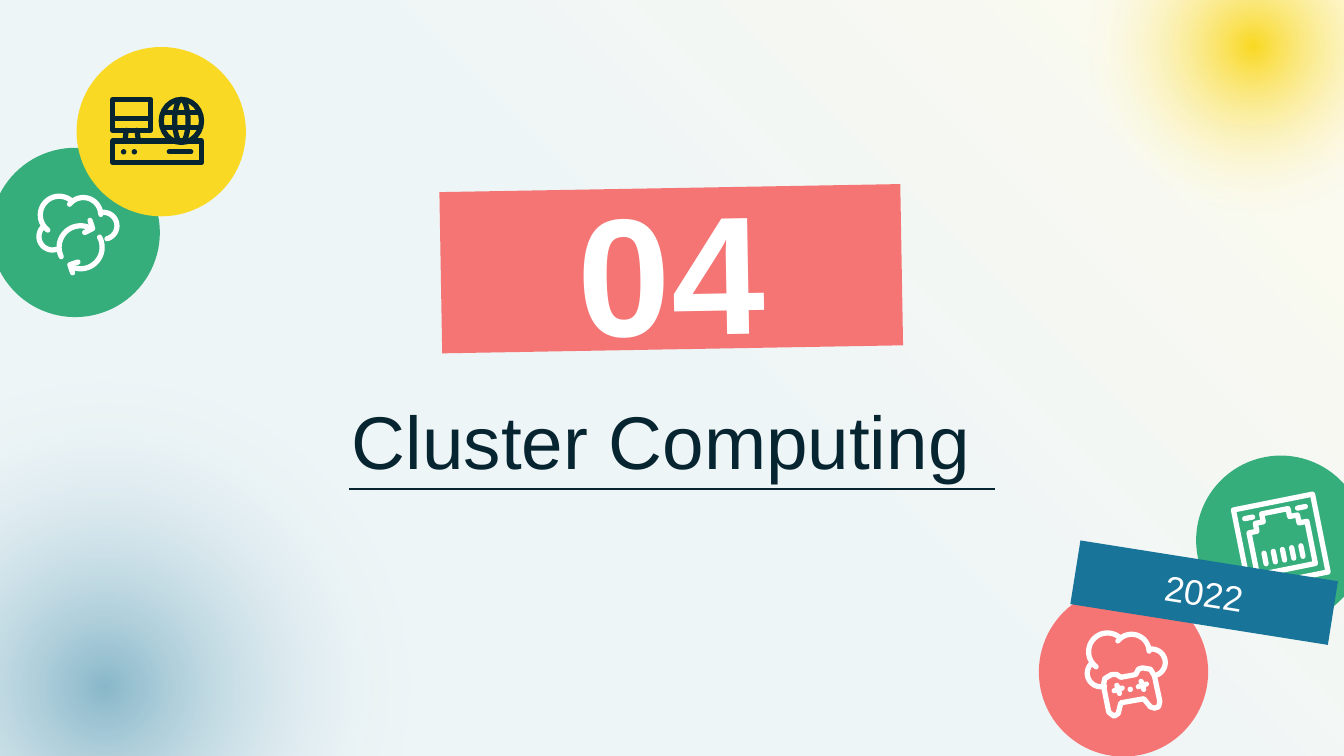
import math
from dataclasses import dataclass

import pptx
import pptx.dml.color
import pptx.enum.shapes
import pptx.enum.text
import pptx.oxml
import pptx.oxml.ns
import pptx.util
from pptx.util import Inches

HUES = {"ink": "062531", "white": "FFFFFF", "coral": "F57474",
        "green": "36AE7C", "yellow": "F9D923", "blue": "187498"}
KINDS = pptx.enum.shapes.MSO_SHAPE
ANCHOR = pptx.enum.text.MSO_ANCHOR
Point = tuple[float, float]
Stroke = list[Point]


@dataclass
class Box:
    """Place and turn of a shape."""
    left: float
    top: float
    width: float
    height: float
    turn: float = 0


@dataclass
class Label:
    """Words centred in a box."""
    text: str
    box: Box
    size: float
    hue: str
    fill: str = ""
    bold: bool = False


@dataclass
class Badge:
    """Disc with a line icon and round dots."""
    left: float
    top: float
    fill: str
    hue: str
    icon: list[Stroke]
    dots: list[Point]
    turn: float = 0


def shade(hue: str) -> pptx.dml.color.RGBColor:
    """Give the colour of a name."""
    return pptx.dml.color.RGBColor.from_string(HUES[hue])


def shape(page, kind, box: Box, fill: str = ""):
    """Add a flat preset shape without a line."""
    item = page.shapes.add_shape(kind, Inches(box.left), Inches(box.top),
                                 Inches(box.width), Inches(box.height))
    item.rotation = box.turn
    item.shadow.inherit = False
    item.line.fill.background()
    if fill:
        item.fill.solid()
        item.fill.fore_color.rgb = shade(fill)
    else:
        item.fill.background()
    return item


def blend(item, stops: list[tuple[int, str, int]], way: str) -> None:
    """Fill a shape with a see-through gradient."""
    rows = "".join(
        f'<a:gs pos="{pos}000"><a:srgbClr val="{HUES[hue]}">'
        f'<a:alpha val="{alpha}000"/></a:srgbClr></a:gs>' for pos, hue, alpha in stops)
    space = pptx.oxml.ns.nsdecls("a")
    grad = pptx.oxml.parse_xml(
        f'<a:gradFill {space} rotWithShape="1"><a:gsLst>{rows}</a:gsLst>{way}</a:gradFill>')
    old = item._element.spPr.find(pptx.oxml.ns.qn("a:noFill"))
    item._element.spPr.replace(old, grad)


def glow(page, box: Box, hue: str, alpha: int) -> None:
    """Add a disc that fades out from its centre."""
    way = ('<a:path path="circle"><a:fillToRect l="50000" t="50000" '
           'r="50000" b="50000"/></a:path>')
    blend(shape(page, KINDS.OVAL, box),
          [(0, hue, alpha), (50, "white", 0), (100, "white", 0)], way)


def write(page, label: Label) -> None:
    """Add a centred line of text, on a filled box or from the top of a plain one."""
    box = label.box
    if label.fill:
        item = shape(page, KINDS.RECTANGLE, box, label.fill)
    else:
        item = page.shapes.add_textbox(Inches(box.left), Inches(box.top),
                                       Inches(box.width), Inches(box.height))
    body = item.text_frame
    body.margin_left = body.margin_right = body.margin_top = body.margin_bottom = 0
    body.word_wrap = True
    body.vertical_anchor = ANCHOR.MIDDLE if label.fill else ANCHOR.TOP
    line = body.paragraphs[0]
    line.alignment = pptx.enum.text.PP_ALIGN.CENTER
    run = line.add_run()
    run.text = label.text
    run.font.name = "Arial"
    run.font.size = pptx.util.Pt(label.size)
    run.font.bold = label.bold
    run.font.color.rgb = shade(label.hue)


def arc(x: float, y: float, wide: float, high: float, start: int, end: int) -> Stroke:
    """Give points along an arc, in degrees clockwise from the right."""
    steps = 24
    turns = [math.radians(start + (end - start) * i / steps) for i in range(steps + 1)]
    return [(x + wide * math.cos(t), y + high * math.sin(t)) for t in turns]


def frame(left: float, top: float, right: float, low: float) -> Stroke:
    """Give the closed outline of a rectangle."""
    return [(left, top), (right, top), (right, low), (left, low), (left, top)]


def cloud(x: float, y: float) -> list[Stroke]:
    """Give the four lobes of a cloud, moved by x and y."""
    lobes = [(0.44, 1.6, 0.14, 127, 311), (0.62, 1.6, 0.13, 218, 358),
             (0.77, 1.68, 0.1, 258, 435), (0.39, 1.76, 0.1, 229, 73)]
    return [arc(a + x, b + y, r, r, start, end) for a, b, r, start, end in lobes]


def cross(x: float, y: float) -> list[Stroke]:
    """Give a small tilted plus sign."""
    return [[(x - 0.03, y + 0.01), (x + 0.03, y - 0.01)],
            [(x - 0.01, y - 0.03), (x + 0.01, y + 0.03)]]


def draw(page, badge: Badge) -> None:
    """Add a disc, its icon in round strokes, and its dots."""
    shape(page, KINDS.OVAL, Box(badge.left, badge.top, 1.26, 1.26), badge.fill)
    paths = [[(Inches(x), Inches(y)) for x, y in path] for path in badge.icon]
    pen = page.shapes.build_freeform(*paths[0][0], scale=1.0)
    pen.add_line_segments(paths[0][1:], close=False)
    for path in paths[1:]:
        pen.move_to(*path[0])
        pen.add_line_segments(path[1:], close=False)
    item = pen.convert_to_shape()
    item.rotation = badge.turn
    item.shadow.inherit = False
    item.fill.background()
    item.line.color.rgb = shade(badge.hue)
    item.line.width = pptx.util.Pt(2.8)
    edge = item._element.spPr.find(pptx.oxml.ns.qn("a:ln"))
    edge.set("cap", "rnd")
    edge.append(pptx.oxml.parse_xml(f'<a:round {pptx.oxml.ns.nsdecls("a")}/>'))
    for x, y in badge.dots:
        shape(page, KINDS.OVAL, Box(x - 0.02, y - 0.02, 0.04, 0.04), badge.hue)


def main() -> None:
    """Build the section slide."""
    deck = pptx.Presentation()
    deck.slide_width = Inches(10)
    deck.slide_height = deck.slide_width * 9 // 16
    page = deck.slides.add_slide(deck.slide_layouts[6])

    blend(shape(page, KINDS.RECTANGLE, Box(-0.04, -0.04, 10.08, 5.71)),
          [(0, "blue", 7), (50, "blue", 7), (100, "yellow", 7)],
          '<a:lin ang="18900000" scaled="0"/>')
    glow(page, Box(-2.7, 1.63, 6.96, 6.96), "blue", 47)
    glow(page, Box(7.35, -1.63, 3.94, 3.94), "yellow", 100)

    pad = [(8.25, 5.3), (8.21, 5.1), (8.22, 5.05), (8.27, 5.02), (8.31, 5.02),
           (8.34, 5.04), (8.45, 5.02), (8.47, 4.98), (8.5, 4.97), (8.56, 4.98),
           (8.59, 5.03), (8.63, 5.22), (8.62, 5.26), (8.59, 5.27), (8.56, 5.26),
           (8.51, 5.2), (8.34, 5.23), (8.32, 5.31), (8.29, 5.33), (8.25, 5.3)]
    game = cloud(7.8, 3.25) + [pad] + cross(8.5, 5.1) + cross(8.32, 5.13)

    mid = 9.53
    stairs = [(0.22, 4.24), (0.22, 3.92), (0.16, 3.92), (0.16, 3.86),
              (0.1, 3.86), (0.1, 3.8)]
    port = [(mid - x, y) for x, y in stairs] + [(mid + x, y) for x, y in stairs[::-1]]
    pins = [[(mid + 0.07 * i, 4.09), (mid + 0.07 * i, 4.17)] for i in range(-2, 3)]
    lamps = [[(mid + x - 0.03, 3.81), (mid + x + 0.03, 3.81)] for x in (-0.2, 0.2)]
    jack = [frame(9.23, 3.73, 9.83, 4.32), port + port[:1], *pins, *lamps]

    sync = cloud(0, 0) + [
        arc(0.6, 1.84, 0.16, 0.16, 154, 298), arc(0.6, 1.84, 0.16, 0.16, 332, 478),
        [(0.63, 1.73), (0.69, 1.7), (0.67, 1.64)],
        [(0.58, 1.95), (0.52, 1.97), (0.54, 2.03)]]

    host = [frame(0.84, 0.74, 1.12, 0.97), [(0.84, 0.88), (1.12, 0.88)],
            [(0.94, 0.97), (0.93, 1.05)], [(1.02, 0.97), (1.03, 1.05)],
            frame(0.84, 1.05, 1.5, 1.21), [(1.26, 1.13), (1.42, 1.13)],
            arc(1.35, 0.9, 0.15, 0.16, 0, 360), arc(1.35, 0.9, 0.05, 0.16, 0, 360),
            [(1.22, 0.84), (1.48, 0.84)], [(1.22, 0.95), (1.48, 0.95)]]

    draw(page, Badge(7.73, 4.37, "coral", "white", game, [(8.41, 5.13)]))
    draw(page, Badge(8.9, 3.39, "green", "white", jack, [], -11.3))
    write(page, Label("Cluster Computing", Box(0.89, 2.94, 8.05, 0.61), 40, "ink"))
    write(page, Label("04", Box(3.28, 1.4, 3.43, 1.2, -1), 90, "white", "coral", True))
    rule = page.shapes.add_connector(pptx.enum.shapes.MSO_CONNECTOR.STRAIGHT,
                                     Inches(2.6), Inches(3.64), Inches(7.4), Inches(3.64))
    rule.line.color.rgb = shade("ink")
    rule.line.width = pptx.util.Pt(0.75)
    rule._element.spPr.append(
        pptx.oxml.parse_xml(f'<a:effectLst {pptx.oxml.ns.nsdecls("a")}/>'))
    write(page, Label("2022", Box(7.99, 4.17, 1.94, 0.48, 9), 19, "white", "blue"))
    draw(page, Badge(-0.07, 1.1, "green", "white", sync, []))
    draw(page, Badge(0.57, 0.35, "yellow", "ink", host, [(0.92, 1.13), (1, 1.13)]))
    deck.save("out.pptx")


if __name__ == "__main__":
    main()
